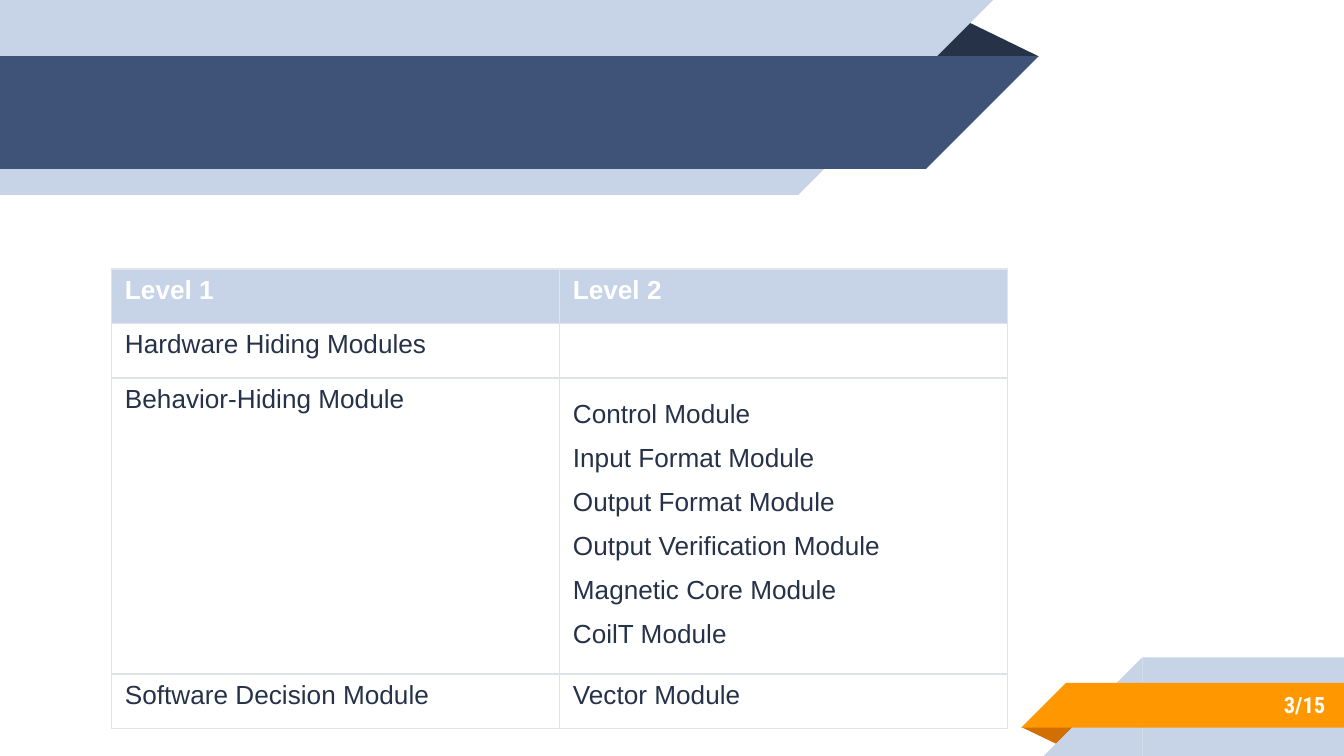
from dataclasses import dataclass

from lxml.etree import SubElement
from pptx import Presentation
from pptx.dml.color import RGBColor
from pptx.enum.shapes import MSO_SHAPE
from pptx.enum.text import MSO_ANCHOR, PP_ALIGN
from pptx.oxml.ns import qn
from pptx.util import Inches, Pt


@dataclass(frozen=True)
class Theme:
    pale: str = "C7D3E6"
    navy: str = "3F5378"
    dark: str = "263248"
    gold: str = "FF9800"
    rust: str = "D26F00"
    white: str = "FFFFFF"
    rule: str = "E0E4E9"
    body: str = "Arial"
    label: str = "Roboto Condensed"
    text: int = 14
    page: int = 12


THEME = Theme()
COLS, ROWS = 100, 56.25  # square grid units on a 16:9 slide
UNIT = Inches(10) / COLS

HEADS = ["Level 1", "Level 2"]
LEVELS = [
    (["Hardware Hiding Modules"], []),
    (["Behavior-Hiding Module"],
     ["Control Module", "Input Format Module", "Output Format Module",
      "Output Verification Module", "Magnetic Core Module", "CoilT Module"]),
    (["Software Decision Module"], ["Vector Module"]),
]


def grid(*units):
    return [round(n * UNIT) for n in units]


def add_form(slide, kind, box, color, turn=0, flip=False):
    form = slide.shapes.add_shape(kind, *grid(*box))
    form.shadow.inherit = False
    form.fill.solid()
    form.fill.fore_color.rgb = RGBColor.from_string(color)
    form.line.fill.background()
    form.rotation = turn
    if flip:
        form._element.spPr.xfrm.set("flipH", "1")
    return form


def add_fold(slide, box, color, turn=0):
    fold = add_form(slide, MSO_SHAPE.ISOSCELES_TRIANGLE, box, color, turn)
    fold.adjustments[0] = 0.324


def add_band(slide, start, end, top, high, color):
    """A bar from one slide edge, with a slanted end as wide as it is high."""
    left = min(start, end)
    tip, turn = (end, 180) if end > start else (end - high, 0)
    add_form(slide, MSO_SHAPE.RECTANGLE,
             (left, top, abs(end - start), high), color, turn, True)
    add_form(slide, MSO_SHAPE.RIGHT_TRIANGLE,
             (tip, top, high, high), color, turn, True)


def add_run(para, text, size, face, color, bold=False):
    run = para.add_run()
    run.text = text
    font = run.font
    font.size, font.name, font.bold = Pt(size), face, bold
    font.color.rgb = RGBColor.from_string(color)


def add_page(slide, text, box):
    frame = slide.shapes.add_textbox(*grid(*box)).text_frame
    frame.word_wrap = True
    frame.vertical_anchor = MSO_ANCHOR.MIDDLE
    frame.margin_top = frame.margin_bottom = Inches(0.1)
    para = frame.paragraphs[0]
    para.alignment = PP_ALIGN.RIGHT
    add_run(para, text, THEME.page, THEME.label, THEME.white, True)


def rule_cell(cell):
    props = cell._tc.get_or_add_tcPr()
    for at, side in enumerate(("lnL", "lnR", "lnT", "lnB")):
        line = SubElement(props, qn(f"a:{side}"), w=str(Pt(1)))
        fill = SubElement(line, qn("a:solidFill"))
        SubElement(fill, qn("a:srgbClr"), val=THEME.rule)
        props.insert(at, line)


def indent(para):
    """A second-level paragraph that stays flush left."""
    para.level = 1
    para.line_spacing = 1.5
    props = para._p.get_or_add_pPr()
    props.set("marL", "0")
    props.set("indent", "0")


def fill_cell(cell, lines, head):
    if head:
        cell.fill.solid()
        cell.fill.fore_color.rgb = RGBColor.from_string(THEME.pale)
    else:
        cell.fill.background()
    rule_cell(cell)
    frame = cell.text_frame
    for i, text in enumerate(lines):
        para = frame.add_paragraph() if i else frame.paragraphs[0]
        if len(lines) > 1:
            indent(para)
        add_run(para, text, THEME.text, THEME.body,
                THEME.white if head else THEME.dark, head)


def add_levels(slide, box, wide, high):
    rows = [[[head] for head in HEADS], *LEVELS]
    frame = slide.shapes.add_table(len(rows), len(HEADS), *grid(*box))
    table = frame.table
    table.horz_banding = False
    for col in table.columns:
        col.width = grid(wide)[0]
    for r, row in enumerate(rows):
        table.rows[r].height = grid(high)[0]
        for c, lines in enumerate(row):
            fill_cell(table.cell(r, c), lines, r == 0)
    frame.height = grid(box[3])[0]  # room for the tall row


def main():
    deck = Presentation()
    deck.slide_width, deck.slide_height = grid(COLS, ROWS)
    slide = deck.slides.add_slide(deck.slide_layouts[6])

    # Title ribbon
    add_fold(slide, (68.8, 1.4, 8.5, 2.8), THEME.dark)
    add_band(slide, 0, 59.38, 0, 14.5, THEME.pale)
    add_band(slide, 0, 68.9, 4.17, 8.4, THEME.navy)

    # Page ribbon
    add_fold(slide, (76, 54.1, 4.3, 1.4), THEME.rust, 180)
    add_band(slide, COLS, 85, 48.92, 7.33, THEME.pale)
    add_band(slide, COLS, 79.32, 50.82, 3.32, THEME.gold)
    add_page(slide, "3/15", (83.3, 50.7, 16.3, 3.5))

    # Module table
    add_levels(slide, (8.3, 20, 66.7, 33.7), 33.33, 4.07)

    deck.save("out.pptx")


if __name__ == "__main__":
    main()
